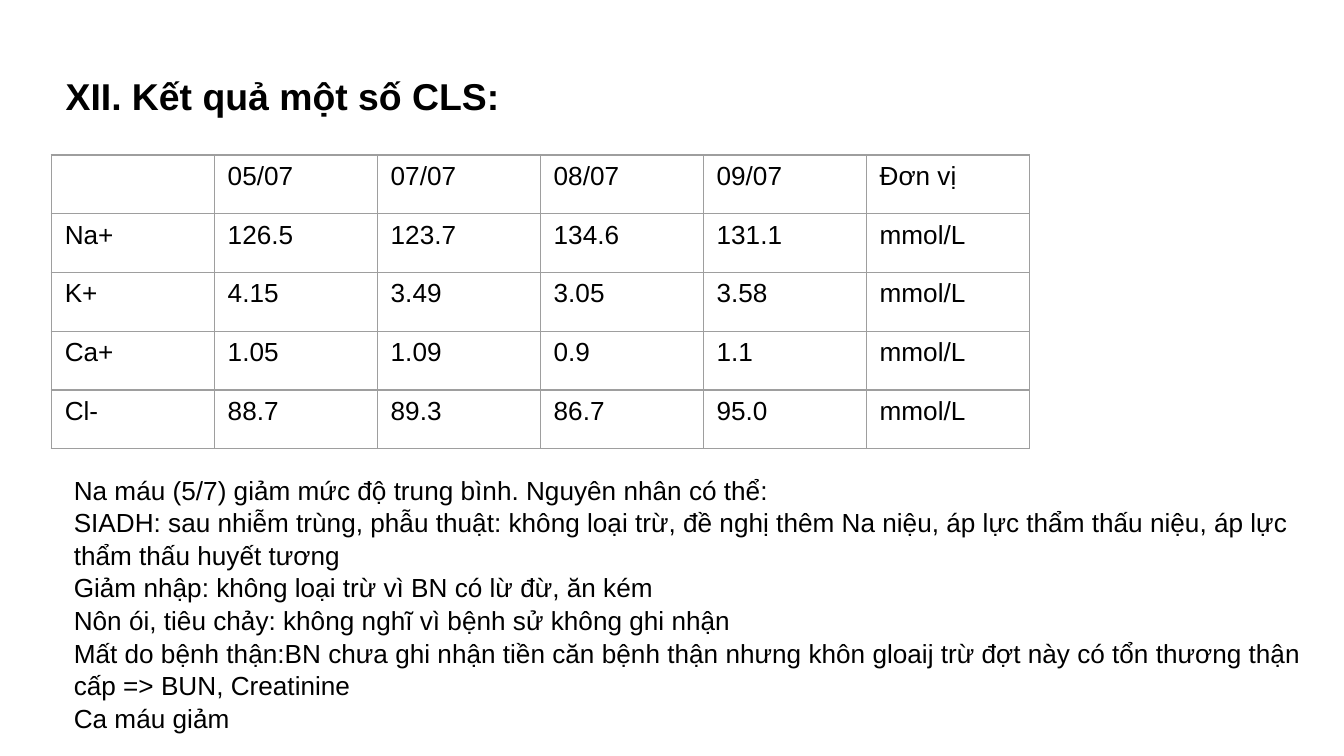
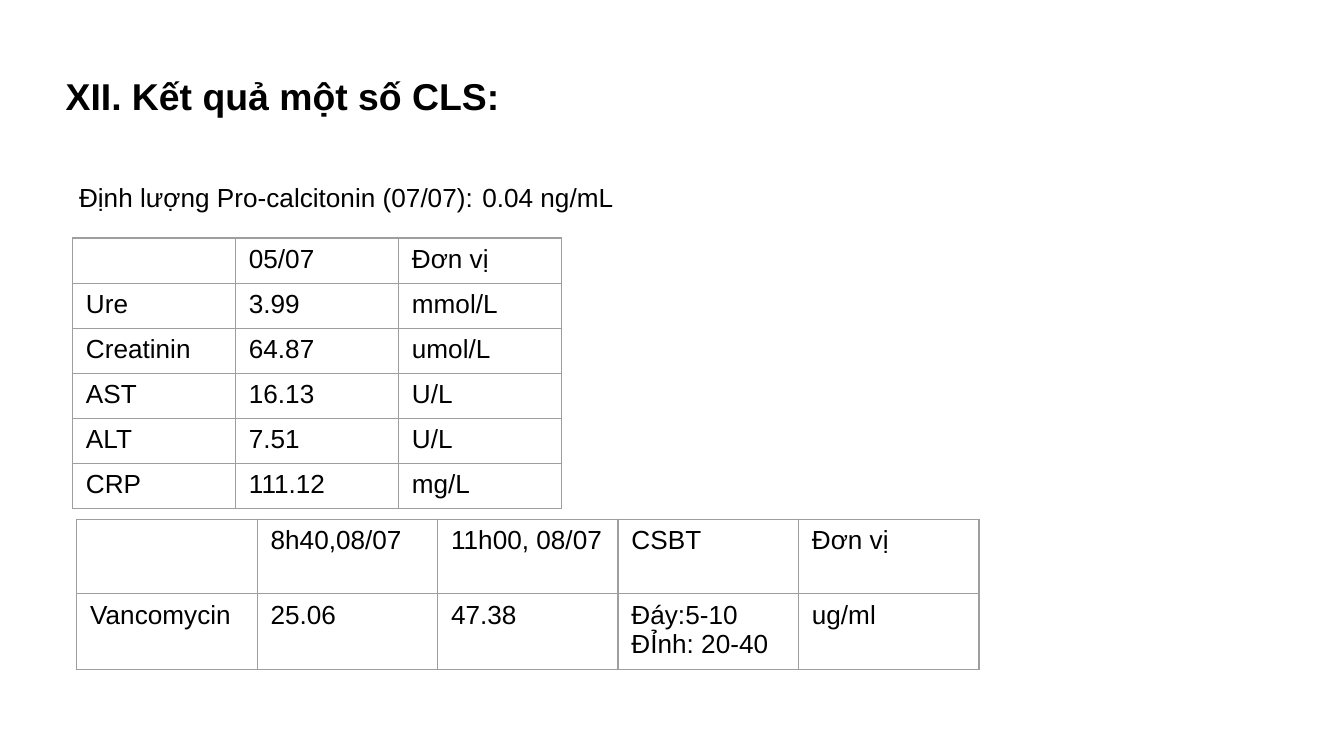
from lxml.etree import SubElement as Sub
from pptx import Presentation
from pptx.dml.color import RGBColor
from pptx.enum.text import MSO_ANCHOR as Anchor, MSO_AUTO_SIZE as Fit, PP_ALIGN as Align
from pptx.oxml.ns import qn
from pptx.util import Cm, Pt

# Shared style
FONT = "Arial"
INK = "000000"
RULE = "9E9E9E"
TITLE = "XII. Kết quả một số CLS:"
SIZE = 14

# Content
IONS = [
    ["", "05/07", "07/07", "08/07", "09/07", "Đơn vị"],
    ["Na+", "126.5", "123.7", "134.6", "131.1", "mmol/L"],
    ["K+", "4.15", "3.49", "3.05", "3.58", "mmol/L"],
    ["Ca+", "1.05", "1.09", "0.9", "1.1", "mmol/L"],
    ["Cl-", "88.7", "89.3", "86.7", "95.0", "mmol/L"],
]
CAUSES = [
    "Na máu (5/7) giảm mức độ trung bình. Nguyên nhân có thể:",
    "SIADH: sau nhiễm trùng, phẫu thuật: không loại trừ, đề nghị thêm Na niệu, "
    "áp lực thẩm thấu niệu, áp lực thẩm thấu huyết tương",
    "Giảm nhập: không loại trừ vì BN có lừ đừ, ăn kém",
    "Nôn ói, tiêu chảy: không nghĩ vì bệnh sử không ghi nhận",
    "Mất do bệnh thận:BN chưa ghi nhận tiền căn bệnh thận nhưng khôn gloaij trừ "
    "đợt này có tổn thương thận cấp => BUN, Creatinine",
    "Ca máu giảm",
]
BLOOD = [
    ["", "05/07", "Đơn vị"],
    ["Ure", "3.99", "mmol/L"],
    ["Creatinin", "64.87", "umol/L"],
    ["AST", "16.13", "U/L"],
    ["ALT", "7.51", "U/L"],
    ["CRP", "111.12", "mg/L"],
]
LEVELS = [
    ["", "8h40,08/07", "11h00, 08/07", "CSBT", "Đơn vị"],
    ["Vancomycin", "25.06", "47.38", "Đáy:5-10\nĐỈnh: 20-40", "ug/ml"],
]


def color(code):
    return RGBColor.from_string(code)


def style(para, size=SIZE, bold=False):
    for run in para.runs:
        run.font.name = FONT
        run.font.size = Pt(size)
        run.font.bold = bold
        run.font.color.rgb = color(INK)


def place(shape, left, top, width, height):
    shape.left, shape.top = Cm(left), Cm(top)
    shape.width, shape.height = Cm(width), Cm(height)


def add_page(deck):
    """Add a slide with the common title."""
    page = deck.slides.add_slide(deck.slide_layouts[1])
    head = page.shapes.title
    place(head, 0.99, 1.12, 23.93, 1.37)
    frame = head.text_frame
    frame.text = TITLE
    frame.auto_size = Fit.NONE
    frame.vertical_anchor = Anchor.MIDDLE
    frame.margin_left = frame.margin_right = Cm(0.25)
    frame.margin_top = frame.margin_bottom = Cm(0.25)
    frame.paragraphs[0].alignment = Align.LEFT
    style(frame.paragraphs[0], 20, True)
    return page


def fill_body(page, lines, box, tab=None):
    """Write plain lines in the body, with an optional tab stop."""
    body = page.placeholders[1]
    place(body, *box)
    frame = body.text_frame
    frame.text = "\n".join(lines)
    frame.auto_size = Fit.NONE
    for para in frame.paragraphs:
        props = para._p.get_or_add_pPr()
        props.set("marL", "0")
        props.set("indent", "0")
        Sub(props, qn("a:buNone"))
        if tab:
            stops = Sub(props, qn("a:tabLst"))
            Sub(stops, qn("a:tab"), pos=str(Cm(tab)), algn="l")
        para.space_before = Pt(0)
        para.line_spacing = 1.04
        style(para)


def set_edges(cell):
    props = cell._tc.get_or_add_tcPr()
    for side in ("lnL", "lnR", "lnT", "lnB"):
        line = Sub(props, qn("a:" + side), w=str(Pt(0.75)))
        Sub(Sub(line, qn("a:solidFill")), qn("a:srgbClr"), val=RULE)


def add_grid(page, rows, left, top, width, highs):
    """Draw a ruled table with equal columns."""
    count = len(rows[0])
    shape = page.shapes.add_table(len(rows), count, Cm(left), Cm(top),
                                  Cm(width * count), Cm(sum(highs)))
    table = shape.table
    table.first_row = table.horz_banding = False
    for col in table.columns:
        col.width = Cm(width)
    for row, high, texts in zip(table.rows, highs, rows):
        row.height = Cm(high)
        for cell, text in zip(row.cells, texts):
            cell.text = text
            set_edges(cell)
            cell.fill.background()
            for para in cell.text_frame.paragraphs:
                style(para)
                if not text:
                    Sub(para._p, qn("a:endParaRPr"), sz=str(SIZE * 100))


def main():
    deck = Presentation()
    deck.slide_width, deck.slide_height = Cm(25.4), Cm(14.29)

    # Electrolytes
    page = add_page(deck)
    add_grid(page, IONS, 0.97, 2.93, 3.08, [1.11] * len(IONS))
    fill_body(page, CAUSES, (1.14, 8.81, 23.8, 5.05))

    # Blood chemistry and drug levels
    page = add_page(deck)
    fill_body(page, ["Định lượng Pro-calcitonin (07/07):\t0.04 ng/mL"],
              (1.24, 3.28, 15.27, 1.45), tab=8)
    add_grid(page, BLOOD, 1.37, 4.5, 3.08, [0.85] * len(BLOOD))
    add_grid(page, LEVELS, 1.45, 9.82, 3.41, [1.4, 1.44])

    deck.save("out.pptx")


if __name__ == "__main__":
    main()
